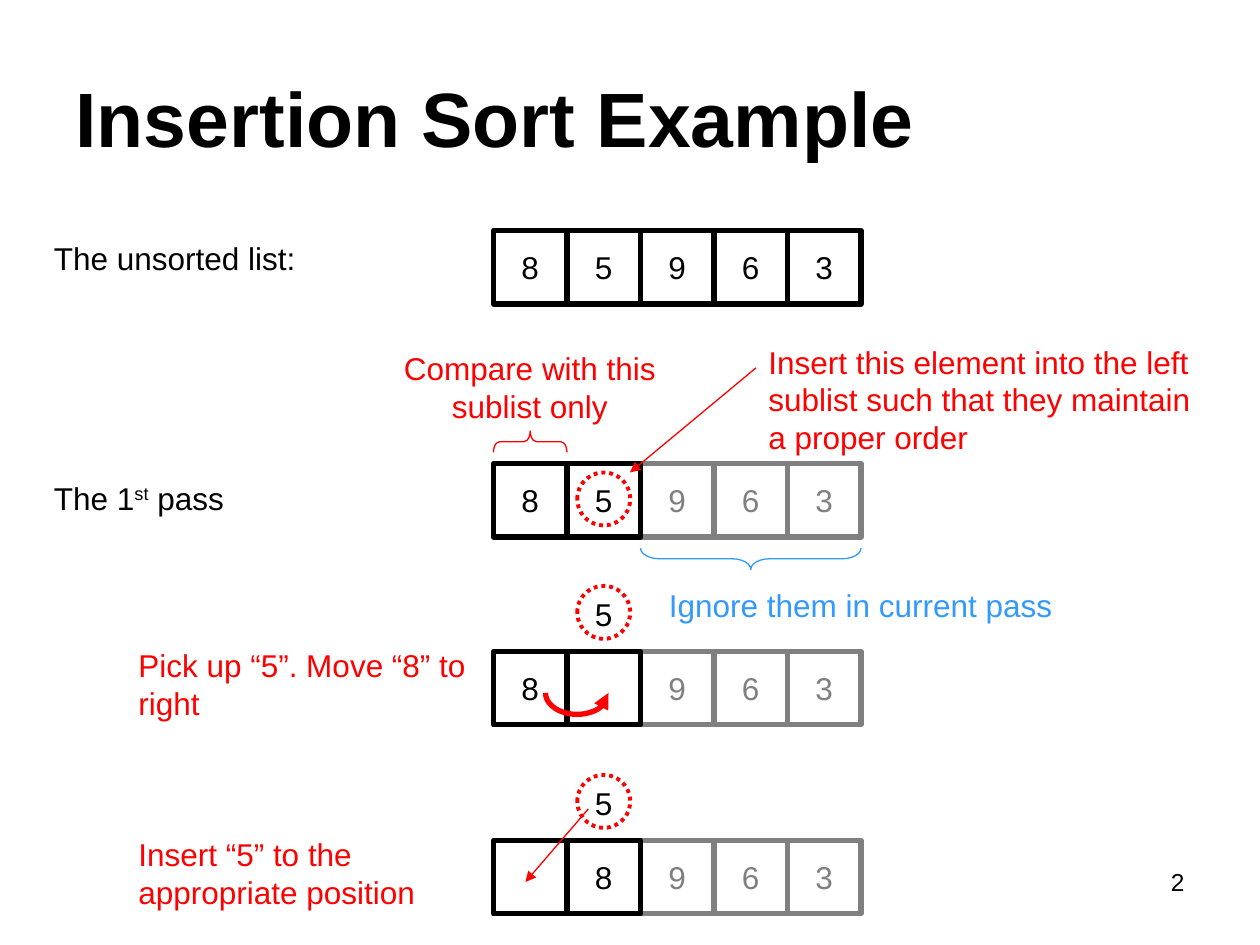
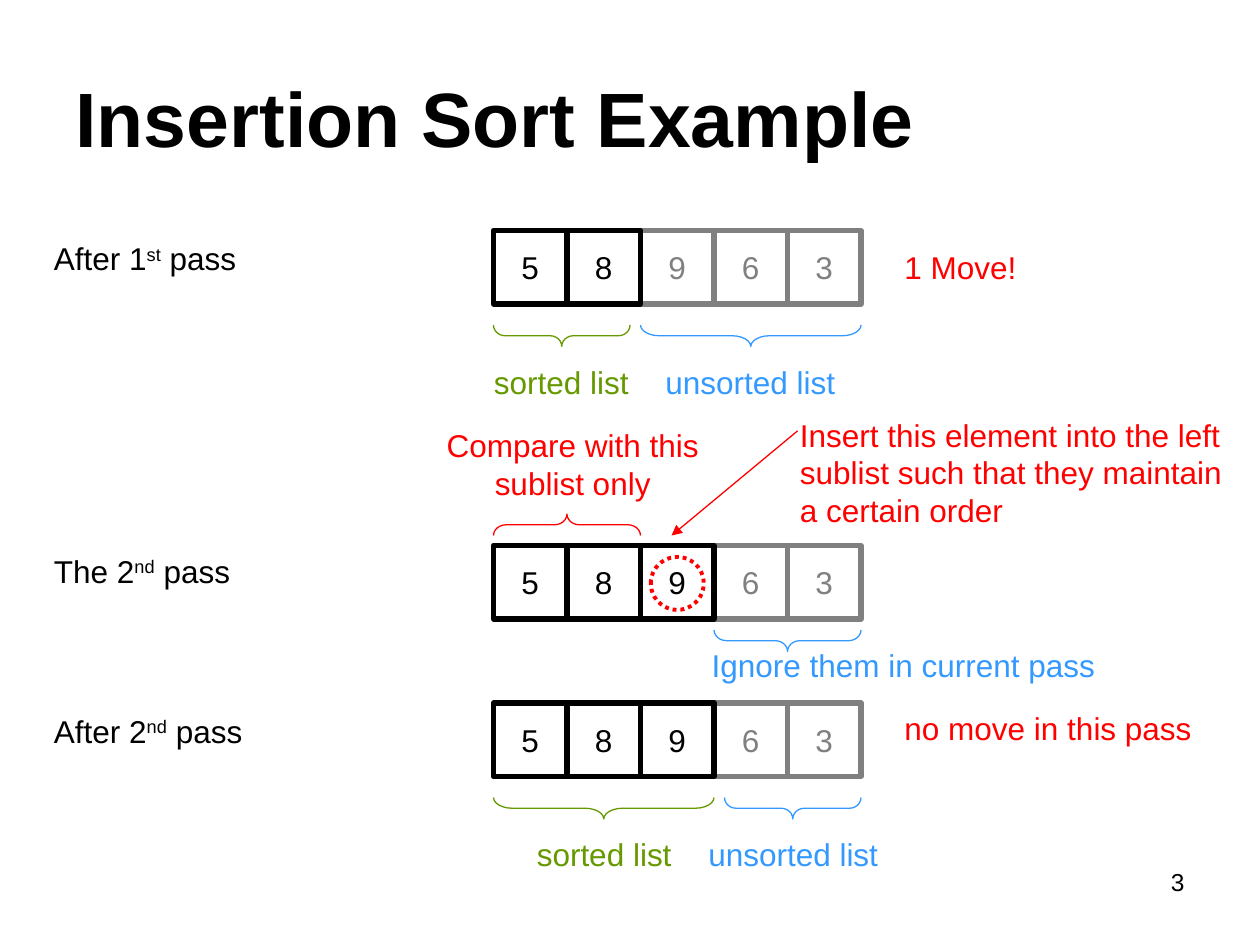
from lxml.etree import SubElement
from pptx import Presentation
from pptx.dml.color import RGBColor
from pptx.enum.dml import MSO_LINE
from pptx.enum.shapes import MSO_CONNECTOR, MSO_SHAPE
from pptx.enum.text import MSO_ANCHOR, PP_ALIGN
from pptx.oxml.ns import qn
from pptx.util import Inches, Pt

BLACK = RGBColor(0x00, 0x00, 0x00)
WHITE = RGBColor(0xFF, 0xFF, 0xFF)
GRAY = RGBColor(0x80, 0x80, 0x80)
RED = RGBColor(0xFF, 0x00, 0x00)
BLUE = RGBColor(0x33, 0x99, 0xFF)
GREEN = RGBColor(0x66, 0x99, 0x00)

BODY_FONT = {"name": "Arial", "size": Pt(18), "bold": False}
TITLE_FONT = {"name": "Arial", "size": Pt(44), "bold": True}
NUMBER_FONT = {"name": "Arial", "size": Pt(14), "bold": False}
CELL_FRAME = {"word_wrap": False, "vertical_anchor": MSO_ANCHOR.MIDDLE}

CELL = 7 / 12
ROW_LEFT = 47 / 12
BRACE_DEPTH = 0.17
CIRCLE = 0.42


def apply_format(target, values):
    for name, value in values.items():
        setattr(target, name, value)


def column_left(column):
    return ROW_LEFT + column * CELL


def write_text(shape, text, color, font=BODY_FONT, align=PP_ALIGN.LEFT):
    paragraph = shape.text_frame.paragraphs[0]
    paragraph.alignment = align
    for index, part in enumerate(text.split("^")):
        run = paragraph.add_run()
        run.text = part
        apply_format(run.font, font)
        run.font.color.rgb = color
        if index % 2:
            run._r.get_or_add_rPr().set("baseline", "30000")


def set_outline(shape, color, width):
    shape.line.color.rgb = color
    shape.line.width = Pt(width)


def add_arrowhead(shape, end):
    outline = shape._element.spPr.find(qn("a:ln"))
    SubElement(outline, qn(f"a:{end}"), type="triangle")


def add_title(slide, text):
    title = slide.shapes.title
    position = {"left": 0.5, "top": 0.3, "width": 9, "height": 1.25}
    apply_format(title, {name: Inches(value) for name, value in position.items()})
    title.text_frame.vertical_anchor = MSO_ANCHOR.MIDDLE
    write_text(title, text, BLACK, TITLE_FONT)


def add_label(slide, text, left, top, width, height=0.4, color=RED,
              align=PP_ALIGN.LEFT, font=BODY_FONT):
    label = slide.shapes.add_textbox(Inches(left), Inches(top), Inches(width), Inches(height))
    label.text_frame.word_wrap = True
    write_text(label, text, color, font, align)


def add_outline_shape(slide, kind, left, top, width, height, color, line_width):
    shape = slide.shapes.add_shape(
        kind, Inches(left), Inches(top), Inches(width), Inches(height))
    shape.shadow.inherit = False
    shape.fill.background()
    set_outline(shape, color, line_width)
    return shape


def add_row(slide, values, top, active):
    for column, value in reversed(list(enumerate(values))):
        color = BLACK if column < active else GRAY
        cell = add_outline_shape(
            slide, MSO_SHAPE.RECTANGLE, column_left(column), top, CELL, CELL, color, 3)
        cell.fill.solid()
        cell.fill.fore_color.rgb = WHITE
        apply_format(cell.text_frame, CELL_FRAME)
        if value.strip():
            write_text(cell, value, color, align=PP_ALIGN.CENTER)


def add_circle(slide, column, top):
    left = column_left(column) + (CELL - CIRCLE) / 2
    circle = add_outline_shape(
        slide, MSO_SHAPE.OVAL, left, top, CIRCLE, CIRCLE, RED, 2.25)
    circle.line.dash_style = MSO_LINE.ROUND_DOT


def add_lifted_number(slide, value, column, top):
    number = slide.shapes.add_textbox(
        Inches(column_left(column)), Inches(top), Inches(CELL), Inches(CELL))
    apply_format(number.text_frame, CELL_FRAME)
    write_text(number, value, BLACK, align=PP_ALIGN.CENTER)
    add_circle(slide, column, top + 0.07)


def add_brace(slide, left, right, top, color, rotation=90):
    span = right - left
    brace = add_outline_shape(
        slide, MSO_SHAPE.RIGHT_BRACE, (left + right - BRACE_DEPTH) / 2,
        top + (BRACE_DEPTH - span) / 2, BRACE_DEPTH, span, color, 0.75)
    brace.rotation = rotation
    brace.adjustments[0] = span / 2


def add_arrow(slide, start, end):
    arrow = slide.shapes.add_connector(
        MSO_CONNECTOR.STRAIGHT, *(Inches(value) for value in (*start, *end)))
    set_outline(arrow, RED, 0.75)
    add_arrowhead(arrow, "tailEnd")
    SubElement(arrow._element.spPr, qn("a:effectLst"))


def add_move_arc(slide, left, top, width, height):
    arc = add_outline_shape(slide, MSO_SHAPE.ARC, left, top, width, height, RED, 3)
    arc.adjustments[0] = 0
    arc.adjustments[1] = 108
    add_arrowhead(arc, "headEnd")


def add_compare_notes(slide, order, compare_at, insert_at, arrow_start, arrow_end):
    add_label(slide, "Compare with this sublist only", *compare_at, 2.25, 0.7,
              align=PP_ALIGN.CENTER)
    add_label(slide, "Insert this element into the left sublist such that "
              f"they maintain a {order} order", *insert_at, 3.75, 1)
    add_arrow(slide, arrow_start, arrow_end)


def add_ignore_note(slide, left, top):
    add_label(slide, "Ignore them in current pass", left, top, 3.5,
              color=BLUE, align=PP_ALIGN.CENTER)


def add_list_names(slide, row_top, sorted_left, sorted_right, unsorted_left, label_left):
    parts = [
        ("sorted list", GREEN, column_left(0), sorted_right, sorted_left),
        ("unsorted list", BLUE, unsorted_left, column_left(5), label_left),
    ]
    for text, color, left, right, text_left in parts:
        add_brace(slide, left, right, row_top + 0.75, color)
        add_label(slide, text, text_left, row_top + 1, 1.75, color=color,
                  align=PP_ALIGN.CENTER)


def start_slide(presentation, number):
    slide = presentation.slides.add_slide(presentation.slide_layouts[5])
    add_title(slide, "Insertion Sort Example")
    add_label(slide, str(number), 7.17, 6.83, 2.33, 0.52, BLACK, PP_ALIGN.RIGHT, NUMBER_FONT)
    return slide


def build_first_pass(presentation):
    slide = start_slide(presentation, 2)
    for values, top, active in [("85963", 1.83, 5), ("85963", 3.68, 2),
                                ("8 963", 5.17, 2), (" 8963", 6.67, 2)]:
        add_row(slide, values, top, active)
    add_label(slide, "The unsorted list:", 0.33, 1.85, 3.25, color=BLACK)
    add_label(slide, "The 1^st^ pass", 0.33, 3.75, 3.67, color=BLACK)
    add_label(slide, "Pick up “5”. Move “8” to right", 1, 5.08, 2.83, 0.7)
    add_label(slide, "Insert “5” to the appropriate position", 1, 6.58, 2.83, 0.7)
    add_compare_notes(slide, "proper", (3.08, 2.72), (6, 2.67), (6, 2.92), (5, 3.75))
    add_brace(slide, column_left(0), column_left(1), 3.42, RED, 270)
    add_circle(slide, 1, 3.75)
    add_brace(slide, column_left(2), column_left(5), 4.35, BLUE)
    add_ignore_note(slide, 5.08, 4.6)
    for top in (4.58, 6.08):
        add_lifted_number(slide, "5", 1, top)
    add_move_arc(slide, 4.33, 5.33, 0.5, 0.34)
    add_arrow(slide, (4.67, 6.42), (4.17, 7))


def build_second_pass(presentation):
    slide = start_slide(presentation, 3)
    for top, active in [(1.83, 2), (4.33, 3), (5.58, 3)]:
        add_row(slide, "58963", top, active)
    for text, top in [("After 1^st^ pass", 1.85), ("The 2^nd^ pass", 4.33),
                      ("After 2^nd^ pass", 5.6)]:
        add_label(slide, text, 0.33, top, 3.67, color=BLACK)
    add_label(slide, "1 Move!", 7.08, 1.92, 2.75)
    add_label(slide, "no move in this pass", 7.08, 5.58, 2.75)
    add_list_names(slide, 1.83, 3.58, 5, column_left(2), 5.08)
    add_list_names(slide, 5.58, 3.92, column_left(3), 5.75, 5.42)
    add_compare_notes(slide, "certain", (3.42, 3.33), (6.25, 3.25), (6.33, 3.42), (5.33, 4.25))
    add_brace(slide, column_left(0), column_left(2), 4.08, RED, 270)
    add_circle(slide, 2, 4.42)
    add_brace(slide, column_left(3), column_left(5), 5, BLUE)
    add_ignore_note(slide, 5.42, 5.08)


def main():
    presentation = Presentation()
    presentation.slide_width = Inches(10)
    presentation.slide_height = Inches(7.5)
    build_first_pass(presentation)
    build_second_pass(presentation)
    presentation.save("out.pptx")


if __name__ == "__main__":
    main()
